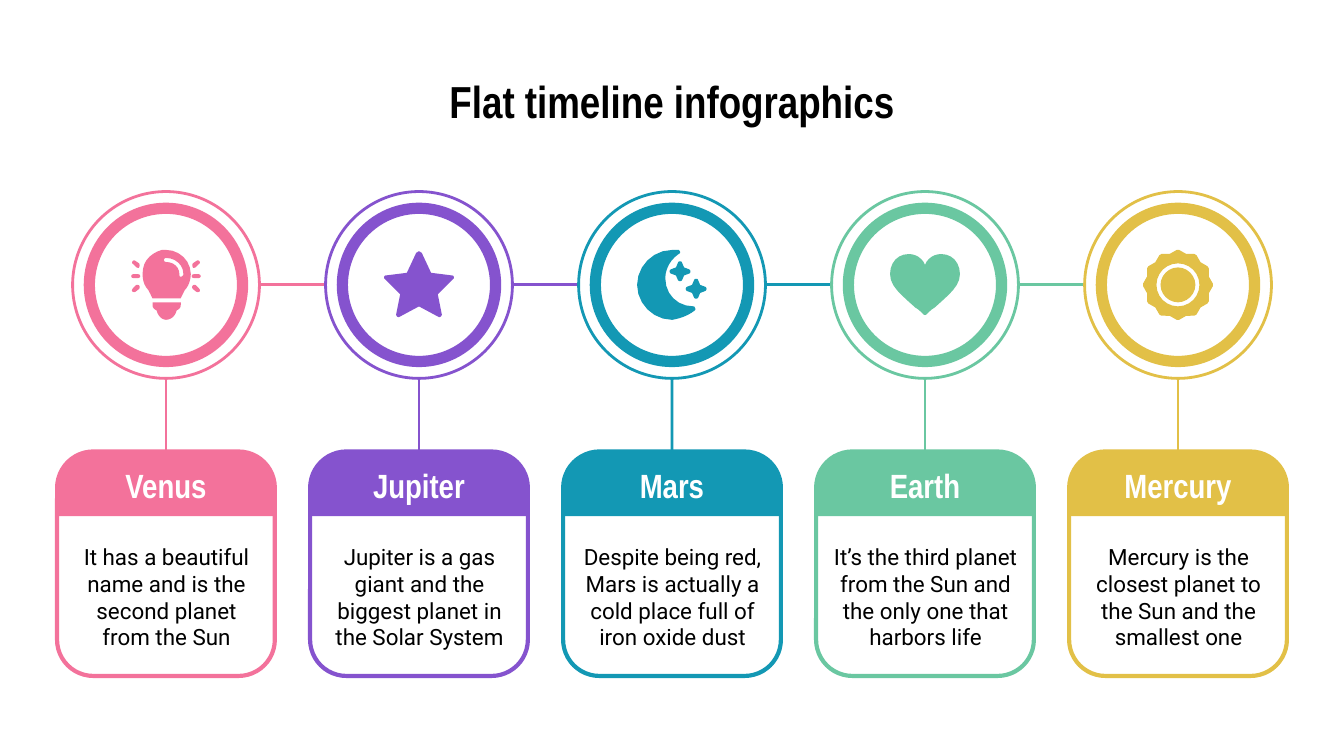
import math
import pptx
import pptx.util
import pptx.dml.color
import pptx.enum.shapes
import pptx.enum.text
import lxml.etree

Inches, Pt = pptx.util.Inches, pptx.util.Pt
RGB = pptx.dml.color.RGBColor.from_string
SHAPE = pptx.enum.shapes.MSO_SHAPE
STRAIGHT = pptx.enum.shapes.MSO_CONNECTOR.STRAIGHT
ANCHOR = pptx.enum.text.MSO_ANCHOR
CENTER = pptx.enum.text.PP_ALIGN.CENTER

COLORS = {"Venus": "F3729B", "Jupiter": "8553CE", "Mars": "1398B4",
          "Earth": "6AC7A1", "Mercury": "E2C047",
          "white": "FFFFFF", "black": "000000"}
FACTS = {
    "Venus": "It has a beautiful name and is the second planet from the Sun",
    "Jupiter": "Jupiter is a gas giant and the biggest planet in the Solar System",
    "Mars": "Despite being red, Mars is actually a cold place full of iron oxide dust",
    "Earth": "It’s the third planet from the Sun and the only one that harbors life",
    "Mercury": "Mercury is the closest planet to the Sun and the smallest one",
}
PITCH = 7.53 / 4
RING_Y = 2.12
RING_R = 1.39 / 2

BULB_BASE = ("-10,13 -10,15 -10,17,-9,18,-7,19 -6,23,-3,26,0,26 4,26,7,23,8,19 "
             "10,18,11,17,11,15 11,13")
BULB = ("0,-20 7,-20,13,-15,13,-8 13,-7,12,-6,11,-6 10,-6,10,-7,10,-8 10,-13,6,-17,0,-17 "
        "-1,-17,-1.5,-18,-1.5,-18.5 -1.5,-19,-1,-20,0,-20 | "
        "0,-26 -1,-26,-2,-26,-3,-26 -10,-24,-16,-19,-17,-12 -18,-6,-17,0,-13,4 "
        "-12,6,-11,8,-10,10 11,10 12,8,13,6,14,4 17,1,18.5,-4,18.5,-8 18.5,-18,10,-26,0,-26")
SIDE_RAY = "-24,-8 -26.5,-8,-26.5,-5,-24,-5 -21,-5 -18.5,-5,-18.5,-8,-21,-8"
SLANT_RAY = ("-23,-18 -24,-18.5,-24,-18,-24.5,-18 -25.5,-17,-25.5,-16,-24.5,-15.5 "
             "-22,-13 -21,-12.5,-20,-12.5,-20,-13 -19.5,-14,-19.5,-15,-20,-16")
LOW_RAY = "-21,0 -22,0,-22,0,-22.5,0.5 -24.5,2.5 -26.5,4.5,-24.5,6,-22.5,5 -20,3 -19,2,-19.5,0,-21,0"
STAR = ("0,-25 -1,-25,-1,-24,-2,-24 -9,-9 -25,-7 -26,-7,-26,-5,-26,-5 -14,7 -17,22 "
        "-17,23,-16,24,-15,24 0,16 15,24 16,24,17,23,17,22 14,7 26,-5 "
        "26,-5,26,-7,25,-7 9,-9 2,-24 1,-24,1,-25,0,-25")
MOON = ("0,-26 -14,-26,-26,-14,-26,0 -26,14,-14,26,0,26 6,25,12,23,17,19 "
        "17,19,18,18,17,17 17,17,17,16,16,16 4,16,-5,7,-5,-5 -5,-12,-1,-19,5,-23 "
        "7,-24,6,-25,5,-26 3,-26,2,-26,0,-26")
SPARKLE = ("0,-7.5 -1,-7.5,-1,-7.5,-1.5,-6.5 -3,-3 -7,-1.5 -8,-0.5,-8,0.5,-7,1.5 -3,3 "
           "-1.5,6.5 -1,7.5,1,7.5,1.5,6.5 3,3 7,1.5 8,0.5,8,-0.5,7,-1.5 3,-3 "
           "1.5,-6.5 1,-7.5,1,-7.5,0,-7.5")
HEART = ("-12,-23 -20,-23,-26,-17,-26,-8 -26,1,-18,7,-7,17 -5,18,-3,20,-1,22 "
         "-0.5,22.5,0.5,22.5,1,22 3,20,5,18,7,17 18,7,26,1,26,-8 26,-17,20,-23,12,-23 "
         "7,-23,2,-20,0,-15 -2,-20,-7,-23,-12,-23")
HOLE = ("0,-16 8.8,-16,16,-8.8,16,0 16,8.8,8.8,16,0,16 "
        "-8.8,16,-16,8.8,-16,0 -16,-8.8,-8.8,-16,0,-16")
DISC = ("0,-13 -7,-13,-13,-7,-13,0 -13,7,-7,13,0,13 7,13,13,7,13,0 13,-7,7,-13,0,-13")
rim = []
for k in range(12):
    for turn, radius in [(-15, 23.8), (-2, 26), (2, 26)]:
        a = math.radians(-30 * k - turn - 90)
        rim.append(f"{radius * math.cos(a):.2f},{radius * math.sin(a):.2f}")

ICONS = {
    "Venus": [(BULB_BASE, 0, 0, 1), (BULB, 0, 0, 1)]
             + [(ray, 0, 0, flip) for flip in (1, -1) for ray in (SIDE_RAY, SLANT_RAY, LOW_RAY)],
    "Jupiter": [(STAR, 0, 0, 1)],
    "Mars": [(SPARKLE, 0.06, -0.1, 1), (SPARKLE, 0.18, 0.03, 1), (MOON, 0, 0, 1)],
    "Earth": [(HEART, 0, 0, 1)],
    "Mercury": [(DISC, 0, 0, 1), (HOLE + " | " + " ".join(rim), 0, 0, 1)],
}


def style(sp, fill=None, line=None, width=0):
    if not isinstance(sp, pptx.shapes.connector.Connector):
        sp.shadow.inherit = False
        if fill:
            sp.fill.solid()
            sp.fill.fore_color.rgb = RGB(fill)
        else:
            sp.fill.background()
    if line:
        sp.line.color.rgb = RGB(line)
        sp.line.width = Pt(width)
    else:
        sp.line.fill.background()
    if isinstance(sp, pptx.shapes.connector.Connector):
        lxml.etree.SubElement(sp._element.spPr, pptx.oxml.ns.qn("a:effectLst"))


def draw_icon(outline, cx, cy, flip, color):
    builder = None
    for contour in outline.split(" | "):
        pts = []
        for token in contour.split():
            v = [float(n) for n in token.split(",")]
            if len(v) == 2:
                pts.append((v[0], v[1]))
                continue
            x, y = pts[-1]
            for t in [n / 6 for n in range(1, 7)]:
                w = [(1 - t) ** 3, 3 * t * (1 - t) ** 2, 3 * t * t * (1 - t), t ** 3]
                pts.append((w[0] * x + w[1] * v[0] + w[2] * v[2] + w[3] * v[4],
                            w[0] * y + w[1] * v[1] + w[2] * v[3] + w[3] * v[5]))
        pts = [(Inches(cx + flip * px / 100), Inches(cy + py / 100)) for px, py in pts]
        if builder is None:
            builder = s.shapes.build_freeform(*pts[0])
        else:
            builder.move_to(*pts[0])
        builder.add_line_segments(pts[1:], close=True)
    style(builder.convert_to_shape(), color)


prs = pptx.Presentation()
prs.slide_width, prs.slide_height = Inches(10), Inches(10 * 9 / 16)
s = prs.slides.add_slide(prs.slide_layouts[5])

title = s.shapes.title
title.left, title.top, title.width, title.height = Inches(0.5), Inches(0.45), Inches(9), Inches(0.63)
texts = [(title, "Flat timeline infographics", 24, "Arial Narrow", "black", True, ANCHOR.TOP)]

for i, (planet, fact) in enumerate(FACTS.items()):
    cx = 5 + (i - 2) * PITCH
    color = COLORS[planet]

    header = s.shapes.add_shape(SHAPE.ROUND_2_SAME_RECTANGLE, Inches(cx - 0.8), Inches(3.37),
                                Inches(1.6), Inches(0.47))
    header.adjustments[0] = 0.5
    style(header, color)

    for radius, width in [(RING_R, 1.5), (0.57, 6)]:
        ring = s.shapes.add_shape(SHAPE.OVAL, Inches(cx - radius), Inches(RING_Y - radius),
                                  Inches(2 * radius), Inches(2 * radius))
        style(ring, COLORS["white"], color, width)

    card = s.shapes.add_shape(SHAPE.ROUNDED_RECTANGLE, Inches(cx - 0.81), Inches(3.36),
                              Inches(1.62), Inches(1.67))
    style(card, None, color, 2.25)

    stem = s.shapes.add_connector(STRAIGHT, Inches(cx), Inches(3.36),
                                  Inches(cx), Inches(RING_Y + RING_R))
    stem.begin_connect(card, 0)
    style(stem, line=color, width=1.5)

    if i < len(FACTS) - 1:
        link = s.shapes.add_connector(STRAIGHT, Inches(cx + RING_R), Inches(RING_Y),
                                      Inches(cx + PITCH - RING_R), Inches(RING_Y))
        style(link, line=color, width=1.5)

    body = s.shapes.add_textbox(Inches(cx - 0.81), Inches(3.94), Inches(1.63), Inches(1))
    name = s.shapes.add_textbox(Inches(cx - 0.72), Inches(3.42), Inches(1.44), Inches(0.38))
    texts.append((body, fact, 12, "Roboto", "black", False, ANCHOR.TOP))
    texts.append((name, planet, 18, "Arial Narrow", "white", True, ANCHOR.MIDDLE))

    for outline, dx, dy, flip in ICONS[planet]:
        draw_icon(outline, cx + dx, RING_Y + dy, flip, color)

for sp, text, size, font, color, bold, anchor in texts:
    tf = sp.text_frame
    tf.text = text
    tf.word_wrap = True
    tf.auto_size = pptx.enum.text.MSO_AUTO_SIZE.NONE
    tf.vertical_anchor = anchor
    tf.margin_left = tf.margin_right = tf.margin_top = tf.margin_bottom = Inches(0.1)
    p = tf.paragraphs[0]
    p.alignment = CENTER
    r = p.runs[0]
    r.font.size, r.font.name, r.font.bold = Pt(size), font, bold
    r.font.color.rgb = RGB(COLORS[color])

prs.save("out.pptx")
